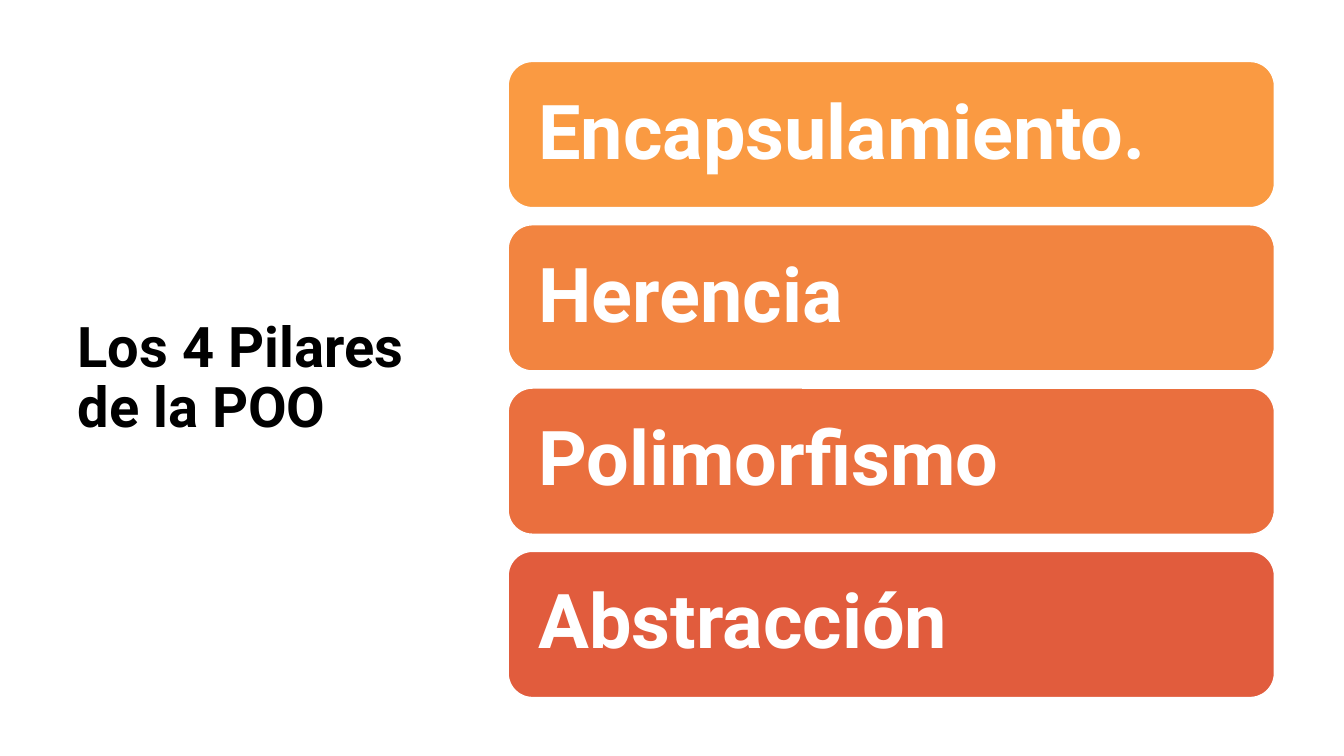
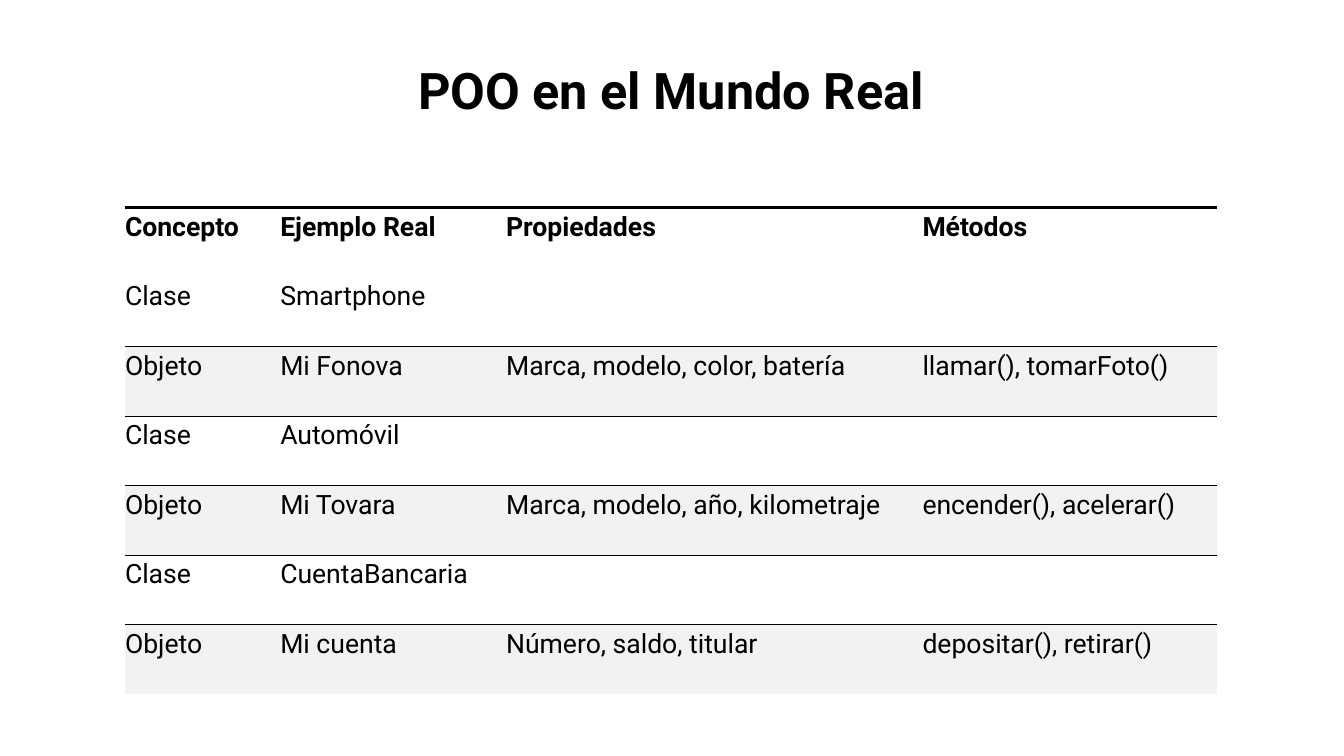
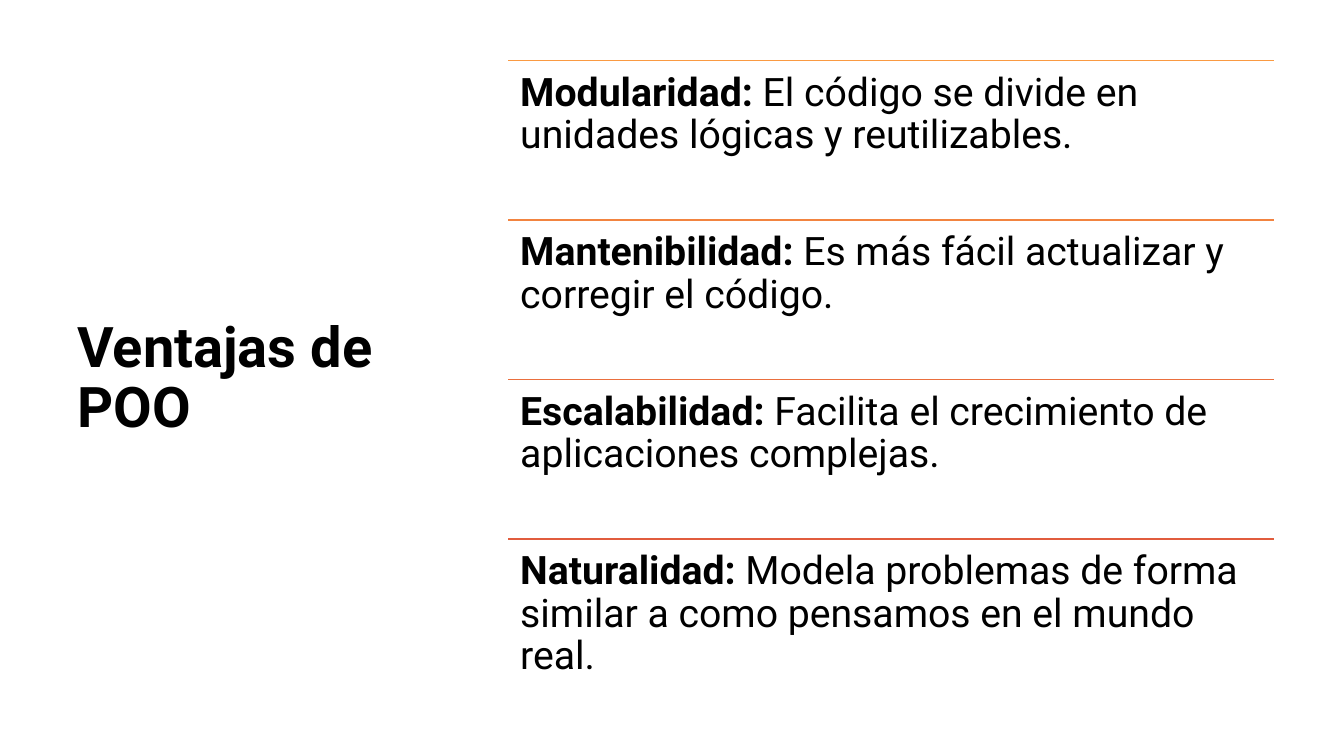
import pptx
import pptx.util
import pptx.dml.color
import pptx.enum.text
import pptx.enum.shapes
import pptx.oxml
import pptx.oxml.ns

Inches = pptx.util.Inches
Pt = pptx.util.Pt
Align = pptx.enum.text.PP_ALIGN
Anchor = pptx.enum.text.MSO_ANCHOR

# Shared look
FONT = "Roboto"
BLACK, WHITE, GREY = "000000", "FFFFFF", "F2F2F2"
WARM = ["FA9A42", "F28440", "EA6F3E", "E15C3D"]
LEFT, TOP, WIDE, TALL = 5.04, 0.6, 7.6, 6.33
SIDE = (0.67, TOP, 3.82, TALL)
HEAD = (0.67, TOP, 11.97, 1.24)


def ink(code):
    return pptx.dml.color.RGBColor.from_string(code)


def put(frame, text, size=28, color=BLACK, bold=False, lead="", align=Align.LEFT,
        anchor=Anchor.TOP, inset=(0.1, 0.05, 0.1, 0.05), space=0.9):
    """Write one paragraph, with an optional bold lead before the text."""
    frame.word_wrap = True
    frame.auto_size = pptx.enum.text.MSO_AUTO_SIZE.NONE
    frame.vertical_anchor = anchor
    (frame.margin_left, frame.margin_top,
     frame.margin_right, frame.margin_bottom) = map(Inches, inset)
    para = frame.paragraphs[0]
    para.alignment = align
    para.line_spacing = space
    for part, heavy in ((lead, True), (text, bold)):
        if part:
            run = para.add_run()
            run.text = part
            run.font.name = FONT
            run.font.size = Pt(size)
            run.font.bold = heavy
            run.font.color.rgb = ink(color)


deck = pptx.Presentation()
deck.slide_width, deck.slide_height = Inches(13.33), Inches(7.5)

# Slides and titles
titles = [
    ("Los 4 Pilares de la POO", SIDE, 40, Align.LEFT, Anchor.MIDDLE),
    ("POO en el Mundo Real", HEAD, 36, Align.CENTER, Anchor.TOP),
    ("Ventajas de POO", SIDE, 40, Align.LEFT, Anchor.MIDDLE),
]
slides = []
for text, place, size, align, anchor in titles:
    slide = deck.slides.add_slide(deck.slide_layouts[5])
    title = slide.shapes.title
    title.left, title.top, title.width, title.height = map(Inches, place)
    put(title.text_frame, text, size=size, bold=True, align=align, anchor=anchor)
    slides.append(slide)
pillars, world, gains = slides

# Pillars: four stacked bars
names = ["Encapsulamiento.", "Herencia", "Polimorfismo", "Abstracción"]
for row, (name, color) in enumerate(zip(names, WARM)):
    bar = pillars.shapes.add_shape(
        pptx.enum.shapes.MSO_SHAPE.ROUNDED_RECTANGLE,
        Inches(LEFT), Inches(0.61 + row * 1.62), Inches(WIDE), Inches(1.45))
    bar.shadow.inherit = False
    bar.fill.solid()
    bar.fill.fore_color.rgb = ink(color)
    bar.line.color.rgb = ink(WHITE)
    bar.line.width = Pt(1)
    put(bar.text_frame, name, size=54, color=WHITE, bold=True,
        anchor=Anchor.MIDDLE, inset=(0.23, 0.23, 0.23, 0.23))

# Real world: table of classes and objects
rows = [
    ("Concepto", "Ejemplo Real", "Propiedades", "Métodos"),
    ("Clase", "Smartphone", "", ""),
    ("Objeto", "Mi Fonova", "Marca, modelo, color, batería", "llamar(), tomarFoto()"),
    ("Clase", "Automóvil", "", ""),
    ("Objeto", "Mi Tovara", "Marca, modelo, año, kilometraje", "encender(), acelerar()"),
    ("Clase", "CuentaBancaria", "", ""),
    ("Objeto", "Mi cuenta", "Número, saldo, titular", "depositar(), retirar()"),
]
widths = [1.54, 2.24, 4.13, 2.92]
table = world.shapes.add_table(
    len(rows), len(widths), Inches(1.24), Inches(2.06),
    Inches(sum(widths)), Inches(0.69 * len(rows))).table
table.first_row = table.horz_banding = False
# Built-in style without grid
style = table._tbl.tblPr.find(pptx.oxml.ns.qn("a:tableStyleId"))
style.text = "{2D5ABB26-0587-4C30-8999-92F81FD0307C}"
for col, width in zip(table.columns, widths):
    col.width = Inches(width)
for r, row in enumerate(rows):
    table.rows[r].height = Inches(0.69)
    for c, text in enumerate(row):
        cell = table.cell(r, c)
        put(cell.text_frame, text, size=19, bold=r == 0, space=1.0)
        cell.margin_left, cell.margin_top = Inches(0), Inches(0.04)
        cell.margin_right, cell.margin_bottom = Inches(0.1), Inches(0.29)
        if row[0] == "Objeto":
            cell.fill.solid()
            cell.fill.fore_color.rgb = ink(GREY)
        else:
            cell.fill.background()
        # Rule above the header and above each object
        if r % 2 == 0:
            rule = pptx.oxml.parse_xml(
                f'<a:lnT {pptx.oxml.ns.nsdecls("a")} w="{Pt(0.5 if r else 2.25)}">'
                f'<a:solidFill><a:srgbClr val="{BLACK}"/></a:solidFill></a:lnT>')
            cell._tc.get_or_add_tcPr().insert(0, rule)

# Gains: ruled list
items = [
    ("Modularidad: ", "El código se divide en unidades lógicas y reutilizables."),
    ("Mantenibilidad: ", "Es más fácil actualizar y corregir el código."),
    ("Escalabilidad: ", "Facilita el crecimiento de aplicaciones complejas."),
    ("Naturalidad: ", "Modela problemas de forma similar a como pensamos en el mundo real."),
]
step = TALL / len(items)
for row, ((lead, text), color) in enumerate(zip(items, WARM)):
    y = Inches(TOP + row * step)
    line = gains.shapes.add_connector(
        pptx.enum.shapes.MSO_CONNECTOR.STRAIGHT, Inches(LEFT), y, Inches(LEFT + WIDE), y)
    line.line.color.rgb = ink(color)
    line.line.width = Pt(1)
    line._element.spPr.append(pptx.oxml.parse_xml(
        f'<a:effectLst {pptx.oxml.ns.nsdecls("a")}/>'))
    box = gains.shapes.add_textbox(Inches(LEFT), y, Inches(WIDE), Inches(step))
    put(box.text_frame, text, lead=lead, inset=(0.12, 0.12, 0.12, 0.12))

deck.save("out.pptx")
